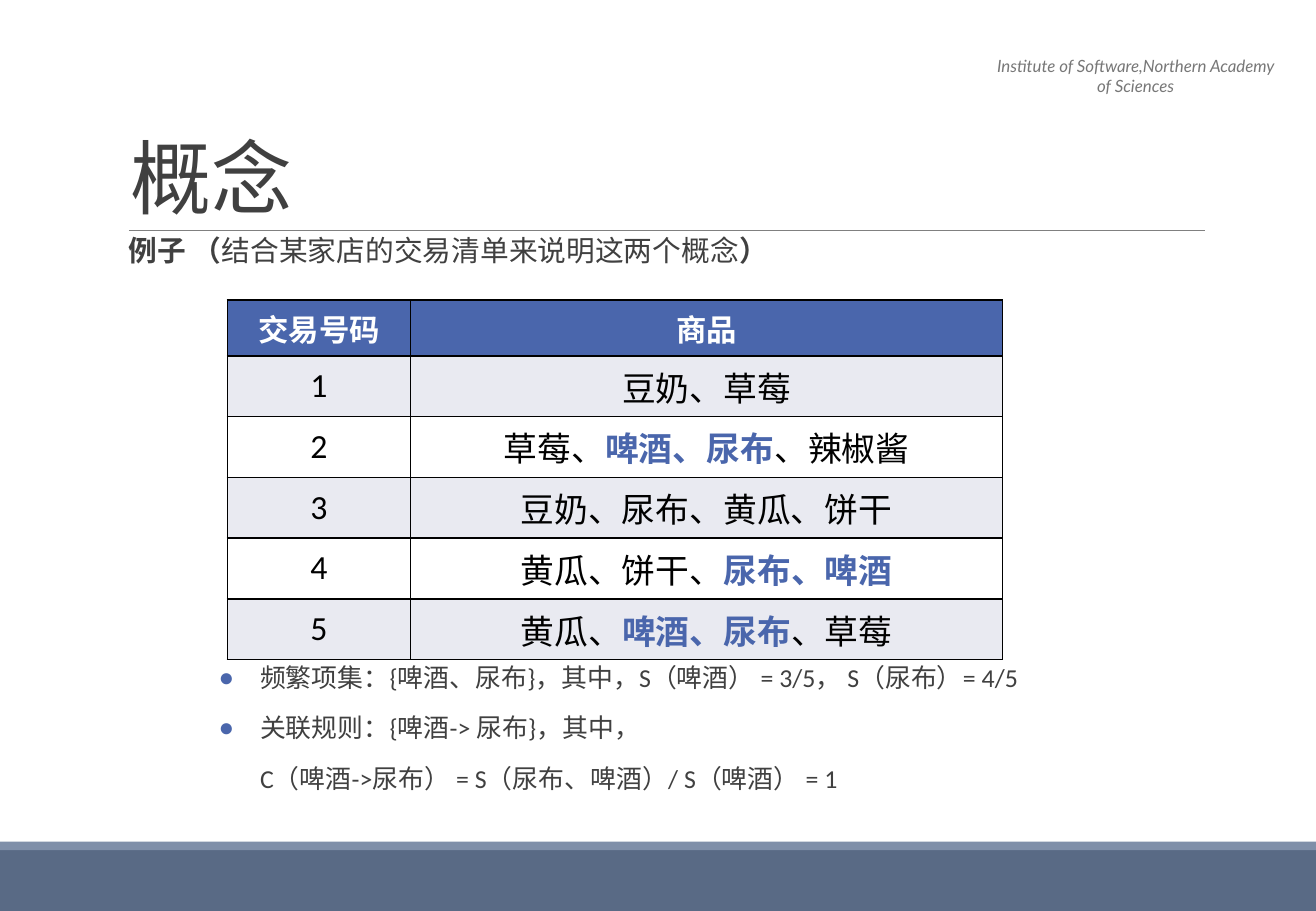
from lxml import etree
from pptx import Presentation
from pptx.dml.color import RGBColor
from pptx.enum.shapes import MSO_CONNECTOR, MSO_SHAPE
from pptx.enum.text import MSO_ANCHOR, MSO_AUTO_SIZE, PP_ALIGN
from pptx.oxml import parse_xml
from pptx.oxml.ns import nsdecls, qn
from pptx.util import Inches, Pt

BLUE = RGBColor(0x4A, 0x66, 0xAC)
PALE = RGBColor(0xE9, 0xEA, 0xF1)
WHITE = RGBColor(0xFF, 0xFF, 0xFF)
BLACK = RGBColor(0, 0, 0)
DARK = RGBColor(0x40, 0x40, 0x40)
GREY = RGBColor(0x77, 0x77, 0x77)
RULE = RGBColor(0x80, 0x80, 0x80)
BAND = RGBColor(0x59, 0x6A, 0x85)
STRIP = RGBColor(0x7F, 0x8F, 0xA9)

TRANSACTIONS = [
    [("豆奶、草莓", False)],
    [("草莓、", False), ("啤酒、尿布", True), ("、辣椒酱", False)],
    [("豆奶、尿布、黄瓜、饼干", False)],
    [("黄瓜、饼干、", False), ("尿布、啤酒", True)],
    [("黄瓜、", False), ("啤酒、尿布", True), ("、草莓", False)],
]
RULES = [
    ("频繁项集：{啤酒、尿布}，其中，S（啤酒） = 3/5， S（尿布）= 4/5", True, 224),
    ("关联规则：{啤酒-> 尿布}，其中，", True, 2),
    ("C（啤酒->尿布） = S（尿布、啤酒）/ S（啤酒） = 1", False, 2),
]


def add_run(p, text, size, color, bold=False, font="Calibri"):
    r = p.add_run()
    r.text = text
    r.font.name = font
    r.font.size = Pt(size)
    r.font.bold = bold
    r.font.color.rgb = color
    return r


def place(sp, left, top, width, height):
    sp.left, sp.top = Inches(left), Inches(top)
    sp.width, sp.height = Inches(width), Inches(height)


def add_band(s, top, height, color):
    sp = s.shapes.add_shape(MSO_SHAPE.RECTANGLE, 0, Inches(top), Inches(10.83), Inches(height))
    sp.shadow.inherit = False
    sp.fill.solid()
    sp.fill.fore_color.rgb = color
    sp.line.fill.background()


def add_rule(s):
    line = s.shapes.add_connector(
        MSO_CONNECTOR.STRAIGHT, Inches(1.06), Inches(1.9), Inches(9.92), Inches(1.9))
    line.line.color.rgb = RULE
    line.line.width = Pt(0.5)
    etree.SubElement(line._element.spPr, qn("a:effectLst"))


def add_institute(s):
    sp = s.shapes.add_textbox(Inches(8.04), Inches(0.41), Inches(2.61), Inches(0.44))
    tf = sp.text_frame
    tf.word_wrap = True
    p = tf.paragraphs[0]
    p.alignment = PP_ALIGN.CENTER
    r = add_run(p, "Institute of Software,Northern Academy of Sciences", 10, GREY, font="Lato")
    r.font.italic = True


def fill_title(sp):
    place(sp, 0.97, 0.31, 8.94, 1.59)
    tf = sp.text_frame
    tf.auto_size = MSO_AUTO_SIZE.NONE
    tf.vertical_anchor = MSO_ANCHOR.BOTTOM
    p = tf.paragraphs[0]
    p.alignment = PP_ALIGN.LEFT
    p.line_spacing = 0.85
    add_run(p, "概念", 48, DARK)


def format_item(p, left, indent, spacing, before, bullet):
    p.line_spacing = spacing
    p.space_before = Pt(before)
    p.space_after = Pt(4)
    pPr = p._p.get_or_add_pPr()
    pPr.set("marL", str(Inches(left)))
    pPr.set("indent", str(Inches(indent)))
    if bullet:
        color = etree.SubElement(pPr, qn("a:buClr"))
        etree.SubElement(color, qn("a:srgbClr"), val=str(BLUE))
        etree.SubElement(pPr, qn("a:buChar"), char="●")
    else:
        etree.SubElement(pPr, qn("a:buNone"))


def fill_body(sp):
    place(sp, 0.84, 1.9, 9.21, 4.68)
    tf = sp.text_frame
    tf.auto_size = MSO_AUTO_SIZE.NONE
    tf.margin_left = tf.margin_right = 0
    p = tf.paragraphs[0]
    format_item(p, 0.22, 0, 0.9, 2, False)
    add_run(p, "例子 （", 17, DARK, True)
    add_run(p, "结合某家店的交易清单来说明这两个概念", 17, DARK)
    add_run(p, "）", 17, DARK, True)
    for text, bullet, before in RULES:
        p = tf.add_paragraph()
        format_item(p, 1.3, -0.34 if bullet else 0, 1.3, before, bullet)
        add_run(p, text, 15.3, DARK)


def add_borders(cell):
    tcPr = cell._tc.get_or_add_tcPr()
    for i, side in enumerate(("lnL", "lnR", "lnT", "lnB")):
        tcPr.insert(i, parse_xml(
            f'<a:{side} {nsdecls("a")} w="{Pt(1)}"><a:solidFill>'
            f'<a:srgbClr val="{BLACK}"/></a:solidFill></a:{side}>'))


def fill_cell(cell, runs, size, color, fill, bold=False):
    add_borders(cell)
    cell.fill.solid()
    cell.fill.fore_color.rgb = fill
    cell.vertical_anchor = MSO_ANCHOR.MIDDLE
    p = cell.text_frame.paragraphs[0]
    p.alignment = PP_ALIGN.CENTER
    for text, frequent in runs:
        add_run(p, text, size, BLUE if frequent else color, bold or frequent)


def add_transactions(s):
    table = s.shapes.add_table(
        len(TRANSACTIONS) + 1, 2, Inches(1.87), Inches(2.47), Inches(6.38), Inches(2.96)).table
    table.columns[0].width = Inches(1.51)
    table.columns[1].width = Inches(4.87)
    table.rows[0].height = Inches(0.46)
    for col, heading in enumerate(("交易号码", "商品")):
        fill_cell(table.cell(0, col), [(heading, False)], 18, WHITE, BLUE, True)
    for row, goods in enumerate(TRANSACTIONS, 1):
        table.rows[row].height = Inches(0.5)
        fill = PALE if row % 2 else WHITE
        fill_cell(table.cell(row, 0), [(str(row), False)], 20, BLACK, fill)
        fill_cell(table.cell(row, 1), goods, 20, BLACK, fill)


def main():
    prs = Presentation()
    prs.slide_width, prs.slide_height = Inches(10.83), Inches(7.5)
    s = prs.slides.add_slide(prs.slide_layouts[1])
    add_band(s, 7, 0.5, BAND)
    add_band(s, 6.93, 0.07, STRIP)
    add_rule(s)
    add_institute(s)
    fill_title(s.shapes.title)
    fill_body(s.placeholders[1])
    add_transactions(s)
    prs.save("out.pptx")


main()
